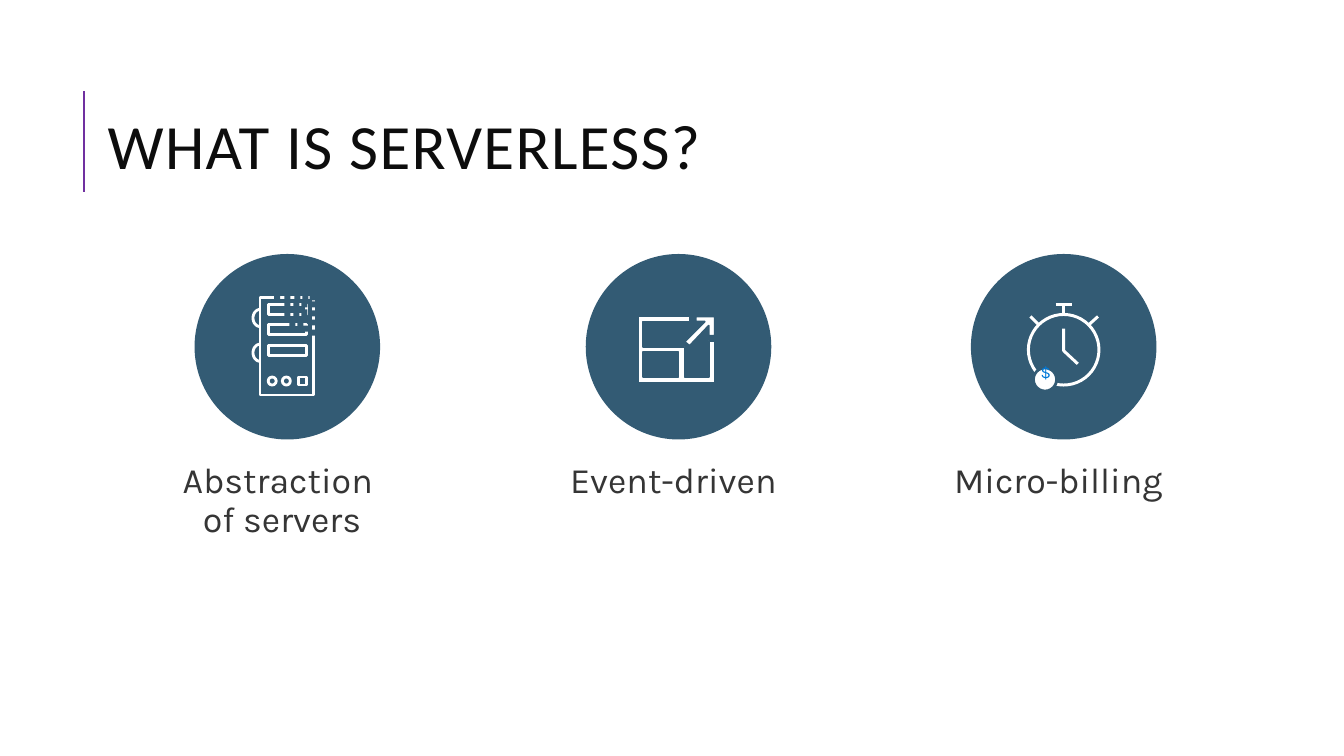
from math import cos, pi, sin

from pptx import Presentation
from pptx.dml.color import RGBColor
from pptx.enum.shapes import MSO_CONNECTOR, MSO_SHAPE
from pptx.enum.text import MSO_ANCHOR, PP_ALIGN
from pptx.oxml import parse_xml
from pptx.oxml.ns import nsdecls
from pptx.util import Inches, Pt

PURPLE = RGBColor(0x70, 0x30, 0xA0)
TEAL = RGBColor(0x33, 0x5B, 0x74)
WHITE = RGBColor(0xFF, 0xFF, 0xFF)
INK = RGBColor(0x0D, 0x0D, 0x0D)
GREY = RGBColor(0x35, 0x35, 0x35)
BLUE = RGBColor(0x00, 0x78, 0xD7)

DISC = 1.84
LABEL_W = 2.8
STROKE = 2.13


def paint(s, fill=None, line=None, width=2):
    s.shadow.inherit = False
    if fill is None:
        s.fill.background()
    else:
        s.fill.solid()
        s.fill.fore_color.rgb = fill
    if line is None:
        s.line.fill.background()
    else:
        s.line.color.rgb = line
        s.line.width = Pt(width)


def add_preset(shapes, kind, x, y, w, h, **look):
    s = shapes.add_shape(kind, Inches(x), Inches(y), Inches(w), Inches(h))
    paint(s, **look)


def add_outline(shapes, x, y, contours, close=True, **look):
    """Draw contours whose points are offsets from (x, y)."""
    placed = [[(Inches(x + dx), Inches(y + dy)) for dx, dy in c] for c in contours]
    builder = shapes.build_freeform(*placed[0][0])
    builder.add_line_segments(placed[0][1:], close=close)
    for contour in placed[1:]:
        builder.move_to(*contour[0])
        builder.add_line_segments(contour[1:], close=close)
    paint(builder.convert_to_shape(), **look)


def add_line(shapes, x1, y1, x2, y2, color, width):
    s = shapes.add_connector(MSO_CONNECTOR.STRAIGHT, Inches(x1), Inches(y1), Inches(x2), Inches(y2))
    s.line.color.rgb = color
    s.line.width = Pt(width)
    s._element.spPr.append(parse_xml(f"<a:effectLst {nsdecls('a')}/>"))


def add_text(shapes, x, y, w, h, text, size, font, color, spacing, insets, wrap=True):
    sp = shapes.add_textbox(Inches(x), Inches(y), Inches(w), Inches(h))
    tf = sp.text_frame
    tf.word_wrap = wrap
    tf.margin_left, tf.margin_top, tf.margin_right, tf.margin_bottom = map(Inches, insets)
    tf.text = text
    p = tf.paragraphs[0]
    p.line_spacing = spacing
    for r in p.runs:
        r.font.size = Pt(size)
        r.font.name = font
        r.font.color.rgb = color
    return tf


def add_title(shapes, x, y, w, h, text):
    add_line(shapes, x, y + h, x, y, PURPLE, 1.5)
    tf = add_text(shapes, x + 0.14, y + 0.1, w, h, text, 45, "Calibri", INK, 0.8,
                  (0.1, 0.05, 0.1, 0.05))
    tf.vertical_anchor = MSO_ANCHOR.MIDDLE
    tf.paragraphs[0].runs[0].font._element.set("spc", "100")


# Icons, each placed from the top left corner of its disc
def draw_server(shapes, x, y):
    box, oval = MSO_SHAPE.RECTANGLE, MSO_SHAPE.OVAL
    add_preset(shapes, box, x + 0.65, y + 0.43, 0.53, 0.97, line=WHITE)
    for dy in (0.5, 0.7, 0.91):
        add_preset(shapes, box, x + 0.73, y + dy, 0.38, 0.1, line=WHITE)
    # Handles on the left side
    half_oval = [(-0.07 * sin(pi * i / 16), 0.085 * cos(pi * i / 16)) for i in range(17)]
    for dy in (0.635, 0.98):
        add_outline(shapes, x + 0.65, y + dy, [half_oval], close=False, line=WHITE)
    for kind, dx in ((oval, 0.73), (oval, 0.87), (box, 1.03)):
        add_preset(shapes, kind, x + dx, y + 1.22, 0.08, 0.08, line=WHITE)
    # Squares that dissolve the top right corner
    gaps = [(0.79, 0.40), (0.99, 0.40), (1.07, 0.39), (1.14, 0.40), (1.06, 0.47), (0.98, 0.46),
            (1.06, 0.55), (0.89, 0.39), (1.16, 0.47), (1.15, 0.56), (1.15, 0.65), (1.15, 0.75),
            (0.98, 0.57), (1.02, 0.68), (1.07, 0.71), (0.94, 0.68), (0.89, 0.46), (0.89, 0.58)]
    for dx, dy in gaps:
        add_preset(shapes, box, x + dx, y + dy, 0.06, 0.08 if dy == 0.55 else 0.06, fill=TEAL)


def draw_scaling(shapes, x, y):
    frame = [(1.22, 1.22), (0.98, 1.22), (0.98, 0.92), (0.57, 0.92), (0.57, 0.67), (1.03, 0.67),
             (1.03, 0.62), (0.52, 0.62), (0.52, 1.28), (1.28, 1.28), (1.28, 0.86), (1.22, 0.86)]
    pane = [(0.57, 0.97), (0.92, 0.97), (0.92, 1.22), (0.57, 1.22)]
    arrow = [(1.09, 0.67), (1.18, 0.67), (0.98, 0.87), (1.03, 0.91), (1.22, 0.71),
             (1.22, 0.81), (1.28, 0.81), (1.28, 0.62), (1.09, 0.62)]
    for contours in ([frame, pane], [arrow]):
        add_outline(shapes, x, y, contours, fill=WHITE, line=TEAL, width=1.25)


def draw_stopwatch(shapes, x, y):
    hands = [(0.92, 0.74), (0.92, 0.96), (1.06, 1.09)]
    add_outline(shapes, x, y, [hands], close=False, line=WHITE, width=STROKE)
    add_preset(shapes, MSO_SHAPE.OVAL, x + 0.57, y + 0.6, 0.7, 0.7, line=WHITE, width=STROKE)
    # Crown and side buttons
    for x1, y1, x2, y2 in ((0.84, 0.5, 1, 0.5), (0.92, 0.6, 0.92, 0.5),
                           (1.26, 0.62, 1.16, 0.71), (0.59, 0.62, 0.68, 0.71)):
        add_line(shapes, x + x1, y + y1, x + x2, y + y2, WHITE, STROKE)
    # Coin
    add_preset(shapes, MSO_SHAPE.OVAL, x + 0.62, y + 1.13, 0.23, 0.23, fill=WHITE, line=TEAL)
    add_text(shapes, x + 0.49, y + 1, 0.49, 0.49, "$", 11.8, "Karla", BLUE, 0.9,
             (0.2, 0.16, 0.2, 0.16), wrap=False)


def add_feature(shapes, x, y, label, draw_icon):
    add_preset(shapes, MSO_SHAPE.OVAL, x, y, DISC, DISC, fill=TEAL)
    draw_icon(shapes, x, y)
    height = 1.1 if "\v" in label else 0.71
    tf = add_text(shapes, x + (DISC - LABEL_W) / 2, y + 1.91, LABEL_W, height, label, 25.5,
                  "Karla", GREY, 0.9, (0.1, 0.16, 0.2, 0.16))
    tf.paragraphs[0].alignment = PP_ALIGN.CENTER


def main():
    prs = Presentation()
    prs.slide_width, prs.slide_height = Inches(13.33), Inches(7.5)
    shapes = prs.slides.add_slide(prs.slide_layouts[6]).shapes
    add_title(shapes, 0.83, 0.9, 12, 1, "WHAT IS SERVERLESS?")
    features = [(1.93, "Abstraction \vof servers", draw_server),
                (5.81, "Event-driven", draw_scaling),
                (9.63, "Micro-billing", draw_stopwatch)]
    for x, label, draw_icon in features:
        add_feature(shapes, x, 2.52, label, draw_icon)
    prs.save("out.pptx")


if __name__ == "__main__":
    main()
